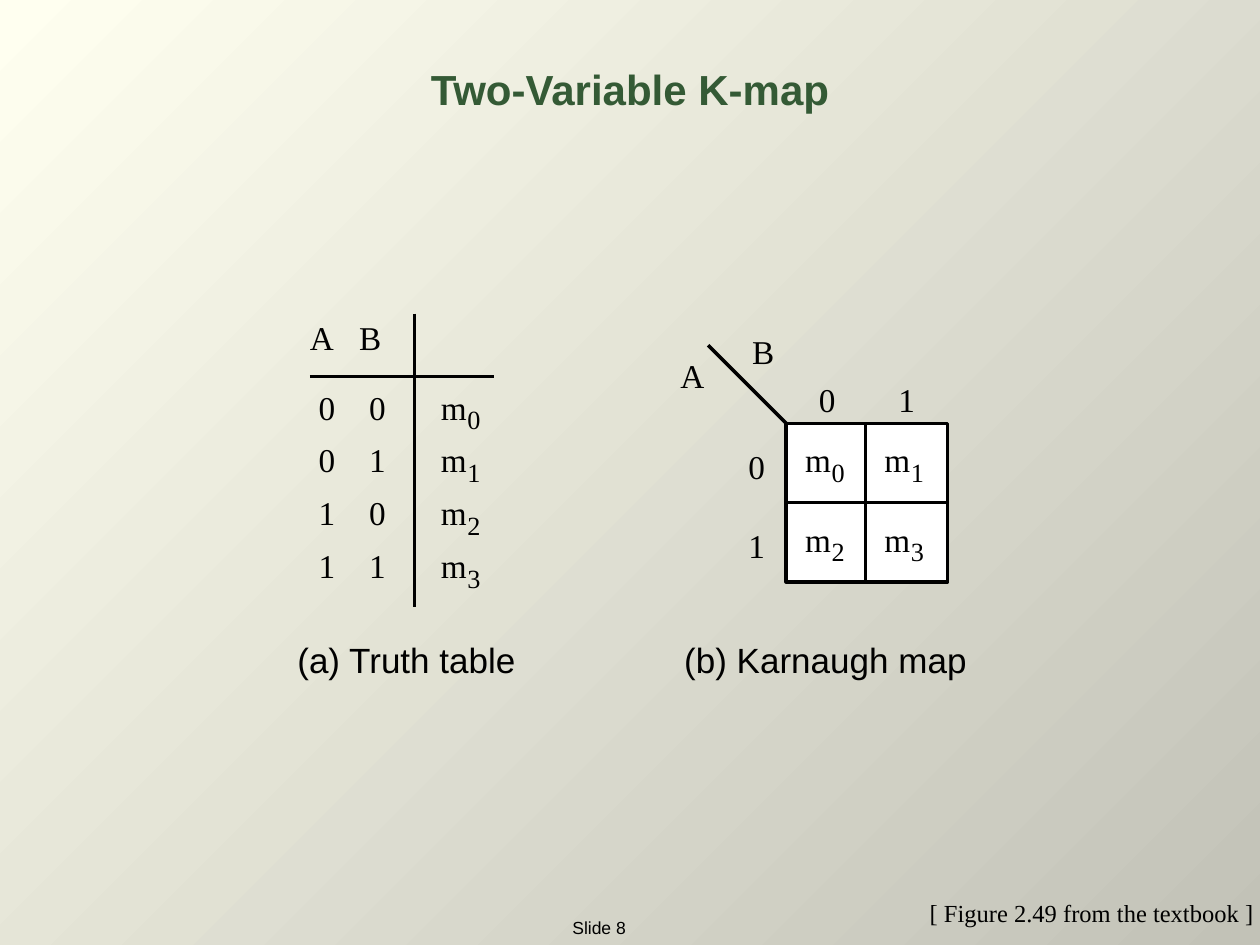
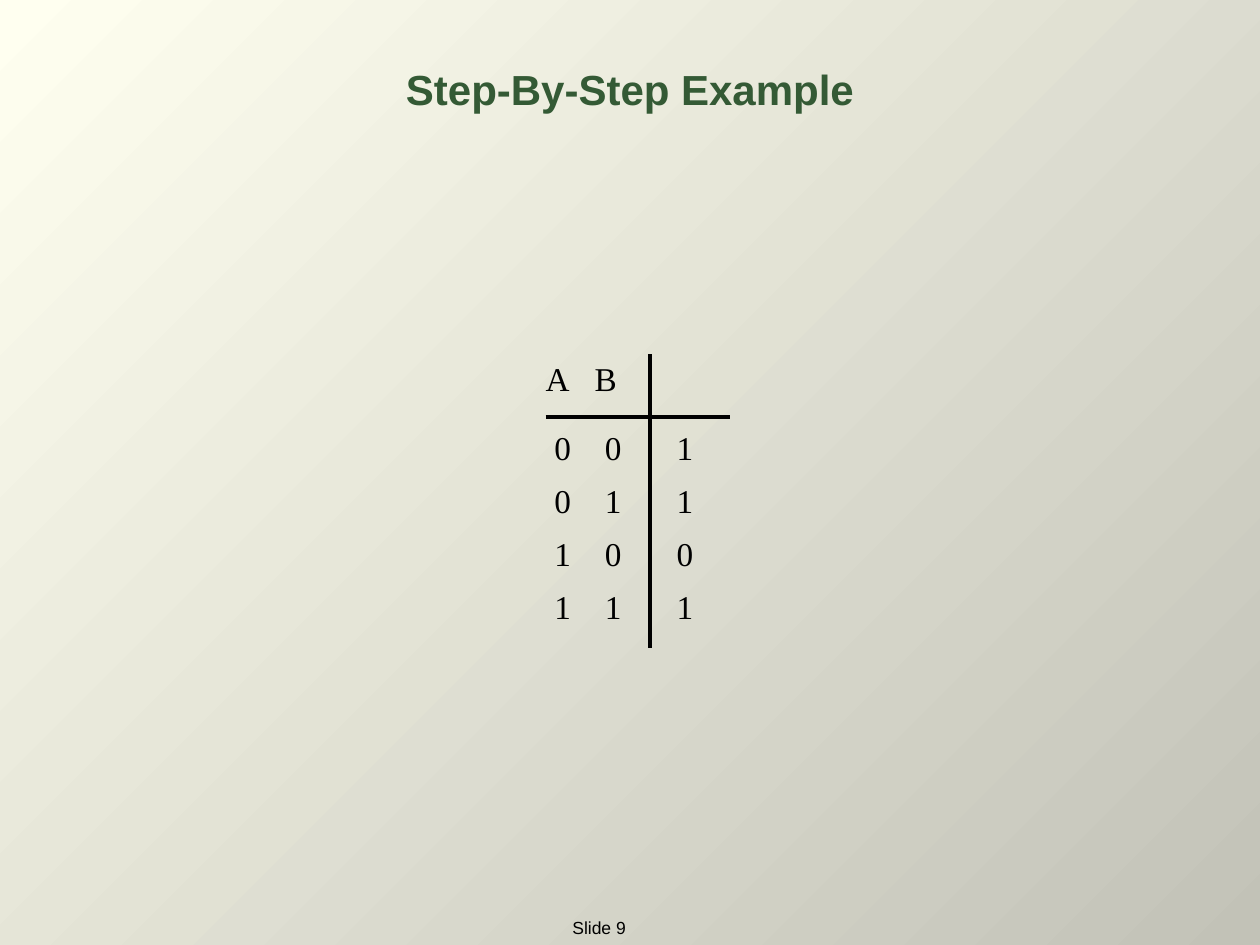
from itertools import product

from lxml import etree
from pptx import Presentation
from pptx.dml.color import RGBColor
from pptx.enum.shapes import MSO_CONNECTOR as Conn, MSO_SHAPE as Shape
from pptx.enum.text import MSO_ANCHOR as Anchor, MSO_AUTO_SIZE as Auto, PP_ALIGN as Align
from pptx.oxml.ns import qn
from pptx.util import Inches, Pt

W, H = 10, 7.5
BLACK, WHITE, GREEN = "000000", "FFFFFF", "345A35"
DARK, LIGHT = "C2C2B7", "FFFFF0"
SANS, SERIF = "Arial", "Times New Roman"
ROW = 0.42   # row step of a truth table
CELL = 0.63  # side of a map cell
INPUTS = list(product("01", repeat=2))


def rgb(value):
    return RGBColor.from_string(value)


def add_text(s, text, x, y, w, h, size=19, font=SERIF, color=BLACK, bold=False,
             align=Align.LEFT, anchor=Anchor.TOP, wrap=False, inset=(0, 0)):
    tf = s.shapes.add_textbox(Inches(x), Inches(y), Inches(w), Inches(h)).text_frame
    tf.word_wrap = wrap
    tf.auto_size = Auto.NONE if wrap else Auto.SHAPE_TO_FIT_TEXT
    tf.vertical_anchor = anchor
    tf.margin_left = tf.margin_right = Inches(inset[0])
    tf.margin_top = tf.margin_bottom = Inches(inset[1])
    p = tf.paragraphs[0]
    p.alignment = align
    r = p.add_run()
    r.text = text
    r.font.size, r.font.name, r.font.bold = Pt(size), font, bold
    r.font.color.rgb = rgb(color)


def add_line(s, x1, y1, x2, y2):
    line = s.shapes.add_connector(Conn.STRAIGHT, *map(Inches, (x1, y1, x2, y2)))
    line.line.color.rgb = rgb(BLACK)
    line.line.width = Pt(2)
    etree.SubElement(line._element.spPr, qn("a:effectLst"))


def add_letter(s, text, x, y):
    add_text(s, text, x, y, 0.24, 0.32)


def add_digit(s, text, x, y):
    add_text(s, text, x, y, 0.2, 0.32)


def add_minterm(s, index, x, y):
    add_text(s, "m", x, y, 0.27, 0.32)
    add_text(s, str(index), x + 0.21, y + 0.13, 0.16, 0.25, size=15)


def add_caption(s, text, x, w):
    add_text(s, text, x, 5.07, w, 0.33, size=20, font=SANS)


def add_base(prs, title, number):
    """Background, title and slide number."""
    s = prs.slides.add_slide(prs.slide_layouts[6])
    fill = s.background.fill
    fill.gradient()
    fill.gradient_angle = 135
    for stop, color in zip(fill.gradient_stops, (DARK, LIGHT)):
        stop.color.rgb = rgb(color)
    add_text(s, f"Slide {number}", 3.92, 7.23, 1.67, 0.27, size=10, font=SANS,
             align=Align.CENTER, wrap=True, inset=(0.1, 0.05))
    add_text(s, title, 0, 0.33, W, 0.75, size=24, font=SANS, color=GREEN, bold=True,
             align=Align.CENTER, anchor=Anchor.MIDDLE, wrap=True, inset=(0.1, 0.05))
    return s


def add_truth_table(s, x, y, outputs, add_output):
    """Rules, heads and four rows, from the top left corner."""
    add_line(s, x, y + 0.5, x + 1.46, y + 0.5)
    add_line(s, x + 0.83, y, x + 0.83, y + 2.33)
    for name, dx in zip("AB", (0, 0.39)):
        add_letter(s, name, x + dx, y + 0.03)
    for i, ((a, b), output) in enumerate(zip(INPUTS, outputs)):
        row_y = y + 0.58 + i * ROW
        add_digit(s, a, x + 0.07, row_y)
        add_digit(s, b, x + 0.47, row_y)
        add_output(s, output, x + 1.04, row_y)


def add_karnaugh_map(s, x, y):
    """Two by two cells, from their top left corner; labels lie outside."""
    side = 2 * CELL
    sp = s.shapes.add_shape(Shape.RECTANGLE, *map(Inches, (x, y, side + 0.02, side)))
    sp.shadow.inherit = False
    sp.fill.solid()
    sp.fill.fore_color.rgb = rgb(WHITE)
    sp.line.color.rgb = rgb(BLACK)
    sp.line.width = Pt(2)
    add_line(s, x, y + CELL, x + side + 0.02, y + CELL)
    add_line(s, x + CELL, y, x + CELL, y + side)
    add_line(s, x - 0.62, y - 0.62, x, y)
    # Variable names and their values
    add_letter(s, "A", x - 0.84, y - 0.54)
    add_letter(s, "B", x - 0.27, y - 0.73)
    for i in range(2):
        add_digit(s, str(i), x + 0.26 + i * CELL, y - 0.35)
        add_digit(s, str(i), x - 0.3, y + 0.18 + i * CELL)
    # Minterms
    for index in range(4):
        row, col = divmod(index, 2)
        add_minterm(s, index, x + 0.15 + col * CELL, y + 0.13 + row * CELL)


def add_kmap_slide(prs):
    s = add_base(prs, "Two-Variable K-map", 8)
    add_truth_table(s, 2.46, 2.49, range(4), add_minterm)
    add_karnaugh_map(s, 6.24, 3.36)
    add_caption(s, "(a) Truth table", 2.36, 1.81)
    add_caption(s, "(b) Karnaugh map", 5.43, 2.25)
    add_text(s, "[ Figure 2.49 from the textbook ]", 7.28, 7.08, 2.78, 0.34,
             size=14, inset=(0.1, 0.05))


def add_example_slide(prs):
    s = add_base(prs, "Step-By-Step Example", 9)
    add_truth_table(s, 4.33, 2.81, "1101", add_digit)


def main():
    prs = Presentation()
    prs.slide_width, prs.slide_height = Inches(W), Inches(H)
    add_kmap_slide(prs)
    add_example_slide(prs)
    prs.save("out.pptx")


if __name__ == "__main__":
    main()
